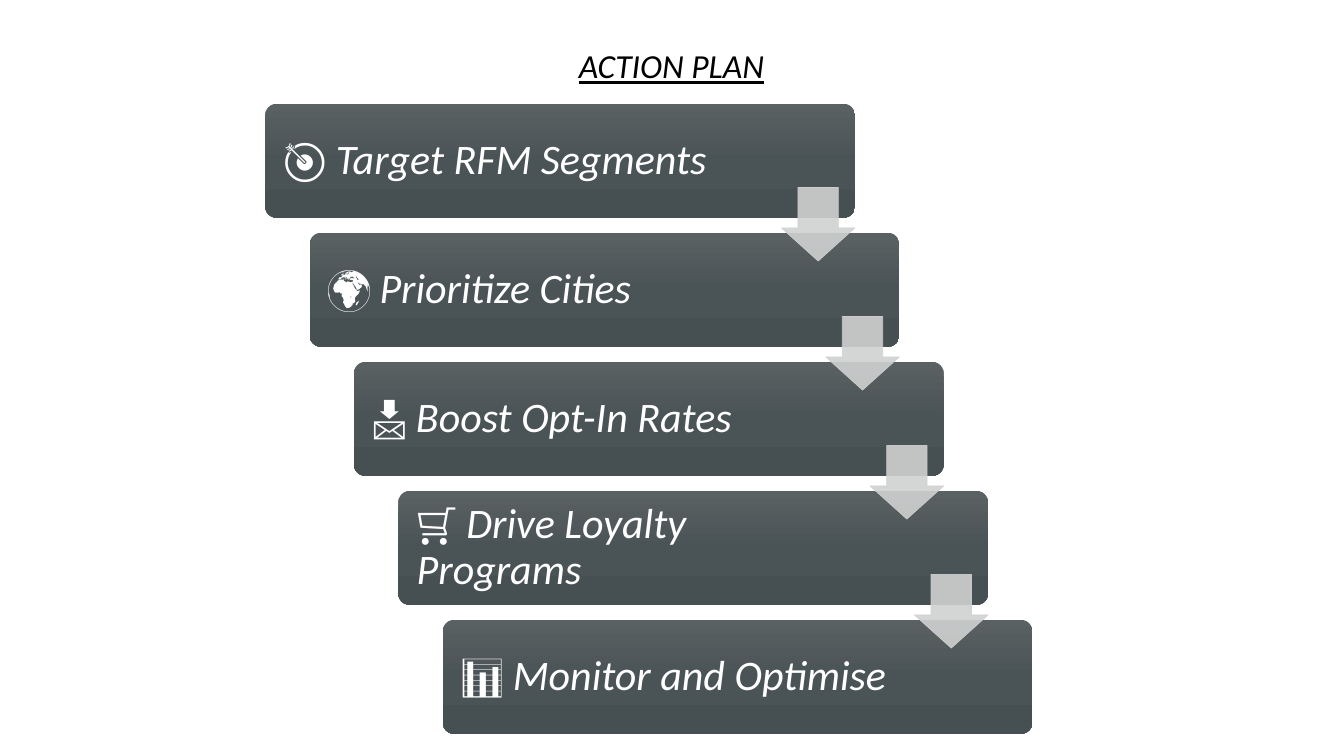
"""Build the action plan slide: five staggered steps joined by down arrows."""
from copy import deepcopy

from lxml import etree
from pptx import Presentation
from pptx.dml.color import RGBColor
from pptx.enum.shapes import MSO_SHAPE
from pptx.enum.text import MSO_ANCHOR, MSO_AUTO_SIZE, PP_ALIGN
from pptx.oxml.ns import qn
from pptx.util import Inches, Pt

ROUNDED, DOWN_ARROW = MSO_SHAPE.ROUNDED_RECTANGLE, MSO_SHAPE.DOWN_ARROW
MIDDLE, TOP = MSO_ANCHOR.MIDDLE, MSO_ANCHOR.TOP
LEFT, CENTER = PP_ALIGN.LEFT, PP_ALIGN.CENTER
NO_AUTOFIT = MSO_AUTO_SIZE.NONE

STEPS = [
    ("🎯", "Target RFM Segments"),
    ("🌍", "Prioritize Cities"),
    ("📩", "Boost Opt-In Rates"),
    ("🛒", "Drive Loyalty Programs"),
    ("📊", "Monitor and Optimise"),
]
GRADIENT = [(0, "5A6163"), (0.5, "4A5356"), (1, "465053")]
FIRST_LEFT, FIRST_TOP = 2.63, 1.03
STEP_X, STEP_Y = 0.44, 1.28
CARD_WIDTH, CARD_HEIGHT = 5.85, 1.13
ARROW_SIZE, ARROW_DX, ARROW_DY = 0.73, 5.12, 0.83
CARD_FRAME = {
    "word_wrap": True, "vertical_anchor": MIDDLE,
    "margin_left": Inches(0.15), "margin_right": Inches(1.33),
    "margin_top": Inches(0.12), "margin_bottom": Inches(0.12),
}
TITLE_FRAME = {"word_wrap": False, "vertical_anchor": TOP, "auto_size": NO_AUTOFIT}
TITLE_PLACE = {
    "left": Inches(5.64), "top": Inches(0.4),
    "width": Inches(2.04), "height": Inches(0.5),
}
CARD_FONT = {"name": "Calibri", "size": Pt(30)}
TITLE_FONT = {"name": "Calibri", "size": Pt(24), "italic": True, "underline": True}


def color(hex_text):
    return RGBColor.from_string(hex_text)


def apply_format(target, values):
    for name, value in values.items():
        setattr(target, name, value)


deck = Presentation()
deck.slide_width, deck.slide_height = Inches(13.33), Inches(7.5)
page = deck.slides.add_slide(deck.slide_layouts[5])

title = page.shapes.title
apply_format(title, TITLE_PLACE)
apply_format(title.text_frame, TITLE_FRAME)
para = title.text_frame.paragraphs[0]
para.alignment = CENTER
span = para.add_run()
span.text = "ACTION PLAN"
apply_format(span.font, TITLE_FONT)
span.font.color.rgb = color("000000")

for index, (icon, label) in enumerate(STEPS):
    card = page.shapes.add_shape(
        ROUNDED, Inches(FIRST_LEFT + index * STEP_X), Inches(FIRST_TOP + index * STEP_Y),
        Inches(CARD_WIDTH), Inches(CARD_HEIGHT))
    card.adjustments[0] = 0.1
    card.shadow.inherit = False
    card.line.fill.background()
    card.fill.gradient()
    card.fill.gradient_angle = 270
    stop_list = next(card._element.spPr.iter(qn("a:gsLst")))
    stop_list.insert(1, deepcopy(stop_list[0]))
    for stop, (position, shade) in zip(card.fill.gradient_stops, GRADIENT):
        stop.position = position
        stop.color.rgb = color(shade)

    apply_format(card.text_frame, CARD_FRAME)
    para = card.text_frame.paragraphs[0]
    apply_format(para, {"alignment": LEFT, "line_spacing": 0.9})
    for text, italic in [(icon + " ", False), (label, True)]:
        span = para.add_run()
        span.text = text
        apply_format(span.font, {**CARD_FONT, "italic": italic})
        span.font.color.rgb = color("FFFFFF")

for index in range(len(STEPS) - 1):
    arrow = page.shapes.add_shape(
        DOWN_ARROW, Inches(FIRST_LEFT + ARROW_DX + index * STEP_X),
        Inches(FIRST_TOP + ARROW_DY + index * STEP_Y),
        Inches(ARROW_SIZE), Inches(ARROW_SIZE))
    arrow.adjustments[0], arrow.adjustments[1] = 0.55, 0.45
    arrow.shadow.inherit = False
    arrow.line.width = Pt(0.5)
    for fill in (arrow.fill, arrow.line.fill):
        fill.solid()
        fill.fore_color.rgb = color("D0D1D1")
    for tint in arrow._element.spPr.iter(qn("a:srgbClr")):
        etree.SubElement(tint, qn("a:alpha"), val="90000")

deck.save("out.pptx")
